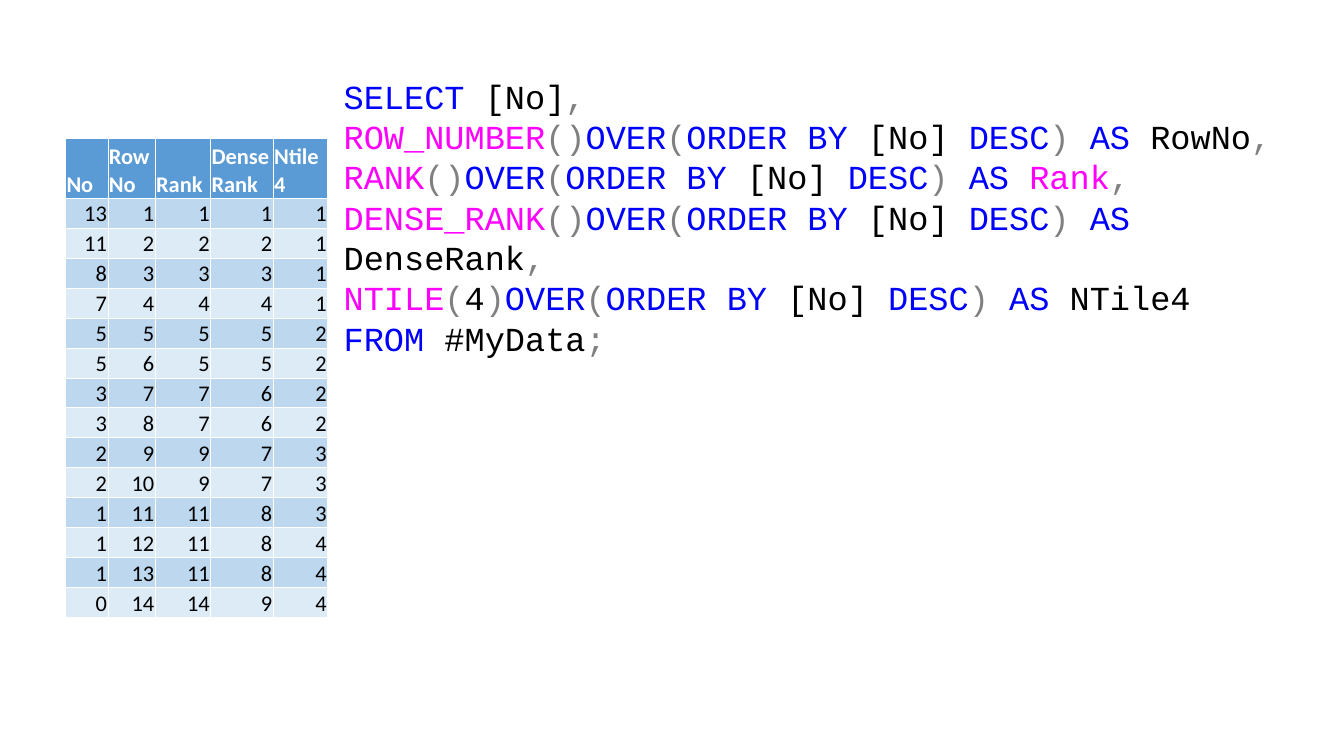
from dataclasses import dataclass

from lxml import etree
from pptx import Presentation
from pptx import util as u
from pptx.dml.color import RGBColor
from pptx.enum import text
from pptx.oxml.ns import qn


@dataclass(frozen=True)
class Theme:
    table_font: str = "Calibri"
    code_font: str = "Courier New"
    table_size: int = 16
    code_size: int = 24
    white: str = "FFFFFF"
    plain: str = "000000"
    keyword: str = "0000FF"
    function: str = "FF00FF"
    symbol: str = "808080"
    header: str = "5B9BD5"
    bands: tuple = ("BDD7EE", "DDEBF7")


HEADERS = ["No", "Row\nNo", "Rank", "Dense\nRank", "Ntile\n4"]
COLUMN_WIDTHS = [0.42, 0.47, 0.55, 0.62, 0.54]
RANKINGS = [
    (13, 1, 1, 1, 1),
    (11, 2, 2, 2, 1),
    (8, 3, 3, 3, 1),
    (7, 4, 4, 4, 1),
    (5, 5, 5, 5, 2),
    (5, 6, 5, 5, 2),
    (3, 7, 7, 6, 2),
    (3, 8, 7, 6, 2),
    (2, 9, 9, 7, 3),
    (2, 10, 9, 7, 3),
    (1, 11, 11, 8, 3),
    (1, 12, 11, 8, 4),
    (1, 13, 11, 8, 4),
    (0, 14, 14, 9, 4),
]

# Each code piece is (theme colour name, text).
OVER_AS = [
    ("keyword", "OVER"), ("symbol", "("), ("keyword", "ORDER BY"),
    ("plain", " [No] "), ("keyword", "DESC"), ("symbol", ") "),
    ("keyword", "AS "),
]
COMMA = ("symbol", ",")
QUERY = [
    [("keyword", "SELECT"), ("plain", " [No]"), COMMA],
    [("function", "ROW_NUMBER"), ("symbol", "()"), *OVER_AS, ("plain", "RowNo"), COMMA],
    [("function", "RANK"), ("symbol", "()"), *OVER_AS, ("function", "Rank"), COMMA],
    [("function", "DENSE_RANK"), ("symbol", "()"), *OVER_AS, ("plain", "DenseRank"), COMMA],
    [("function", "NTILE"), ("symbol", "("), ("plain", "4"), ("symbol", ")"),
     *OVER_AS, ("plain", "NTile4")],
    [("keyword", "FROM"), ("plain", " #MyData"), ("symbol", ";")],
]


def write(p, content, *, font, size, color, bold=False):
    """Append formatted text to a paragraph, turning newlines into line breaks."""
    for i, line in enumerate(content.split("\n")):
        if i:
            p.add_line_break()
        r = p.add_run()
        r.text = line
        r.font.name = font
        r.font.size = u.Pt(size)
        r.font.bold = bold
        r.font.color.rgb = RGBColor.from_string(color)


def set_borders(cell, color, width):
    tc_pr = cell._tc.get_or_add_tcPr()
    for i, side in enumerate(("lnL", "lnR", "lnT", "lnB")):
        ln = etree.Element(qn(f"a:{side}"), w=str(u.Pt(width)))
        fill = etree.SubElement(ln, qn("a:solidFill"))
        etree.SubElement(fill, qn("a:srgbClr"), val=color)
        tc_pr.insert(i, ln)


class SlideBuilder:
    def __init__(self, slide, theme):
        self.slide = slide
        self.theme = theme

    def cell(self, cell, content, fill, align=None, **fmt):
        cell.margin_left = cell.margin_right = cell.margin_top = u.Inches(0.01)
        cell.margin_bottom = 0
        cell.vertical_anchor = text.MSO_ANCHOR.BOTTOM
        cell.fill.solid()
        cell.fill.fore_color.rgb = RGBColor.from_string(fill)
        set_borders(cell, self.theme.white, 0.5)
        p = cell.text_frame.paragraphs[0]
        p.alignment = align
        write(p, content, font=self.theme.table_font, size=self.theme.table_size, **fmt)

    def table(self, headers, rows, widths, left, top, height):
        """Add a banded table whose header is two body rows high."""
        t = self.theme
        table = self.slide.shapes.add_table(
            len(rows) + 1, len(headers), u.Inches(left), u.Inches(top),
            u.Inches(sum(widths)), u.Inches(height)).table
        table.horz_banding = False
        for column, width in zip(table.columns, widths):
            column.width = u.Inches(width)
        row_height = u.Inches(height / (len(rows) + 2))
        for i, row in enumerate(table.rows):
            row.height = row_height if i else 2 * row_height
        for j, header in enumerate(headers):
            self.cell(table.cell(0, j), header, t.header, color=t.white, bold=True)
        for i, row in enumerate(rows):
            for j, value in enumerate(row):
                self.cell(table.cell(i + 1, j), str(value), t.bands[i % 2],
                          text.PP_ALIGN.RIGHT, color=t.plain)

    def code(self, lines, left, top, width, height):
        t = self.theme
        sp = self.slide.shapes.add_textbox(
            u.Inches(left), u.Inches(top), u.Inches(width), u.Inches(height))
        tf = sp.text_frame
        tf.word_wrap = True
        tf.auto_size = text.MSO_AUTO_SIZE.SHAPE_TO_FIT_TEXT
        for i, line in enumerate(lines):
            p = tf.add_paragraph() if i else tf.paragraphs[0]
            for kind, piece in line:
                write(p, piece, font=t.code_font, size=t.code_size, color=getattr(t, kind))


def main():
    prs = Presentation()
    prs.slide_width = u.Inches(13.33)
    prs.slide_height = u.Inches(7.5)
    blank = prs.slide_layouts.get_by_name("Blank")
    s = SlideBuilder(prs.slides.add_slide(blank), Theme())
    s.table(HEADERS, RANKINGS, COLUMN_WIDTHS, left=0.65, top=1.37, height=4.76)
    s.code(QUERY, left=3.31, top=0.7, width=9.96, height=2.52)
    prs.save("out.pptx")


if __name__ == "__main__":
    main()
